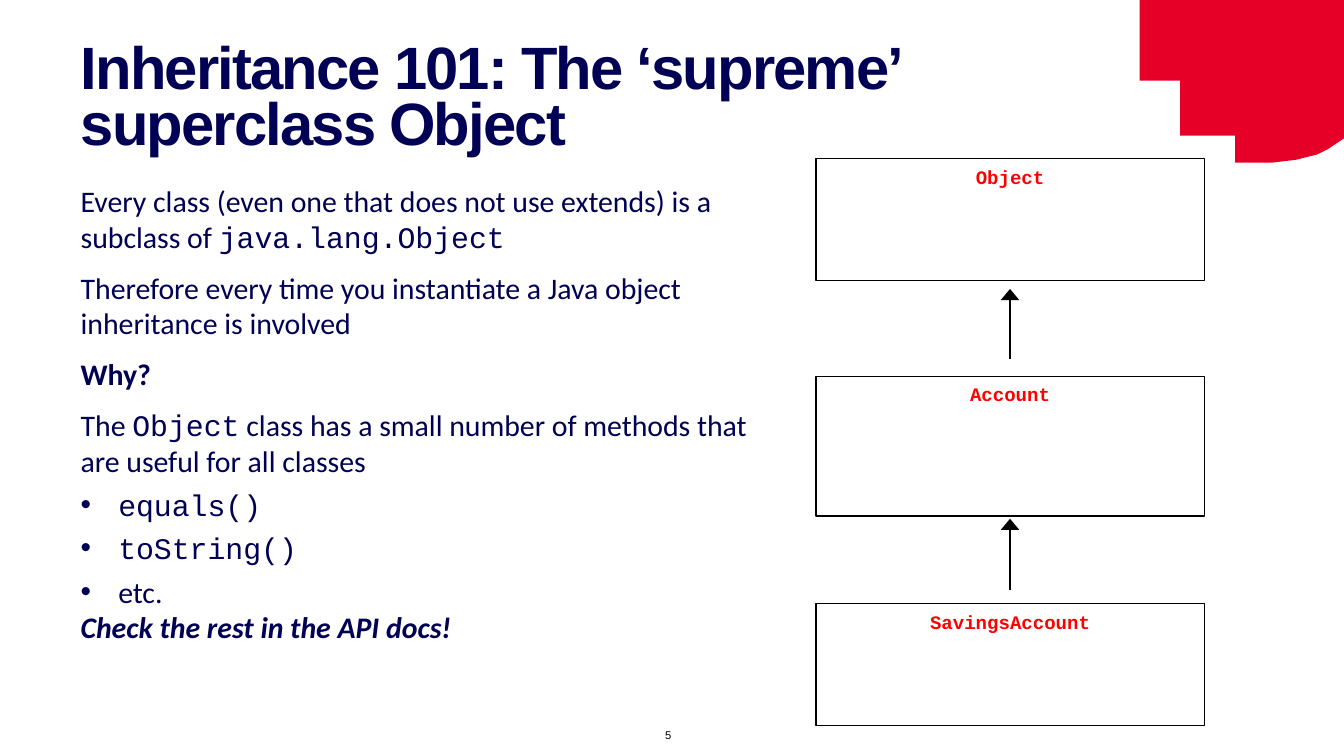
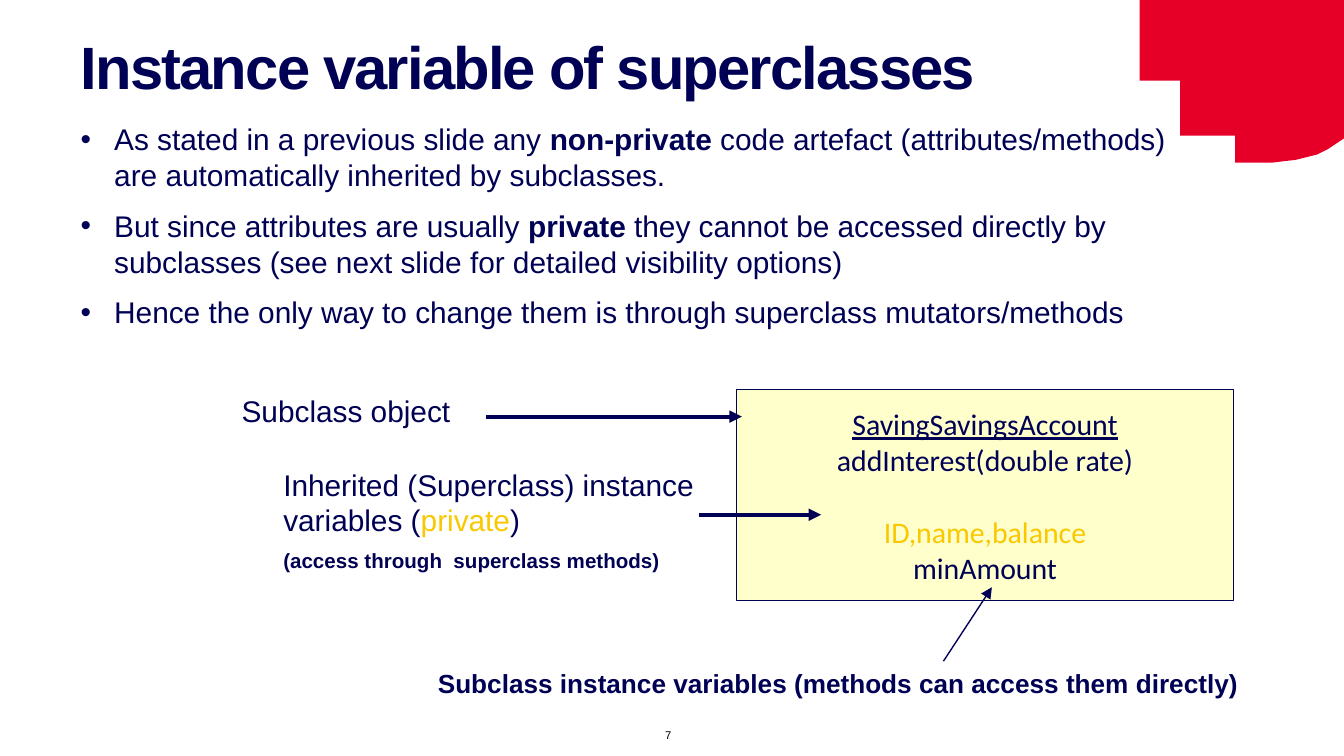
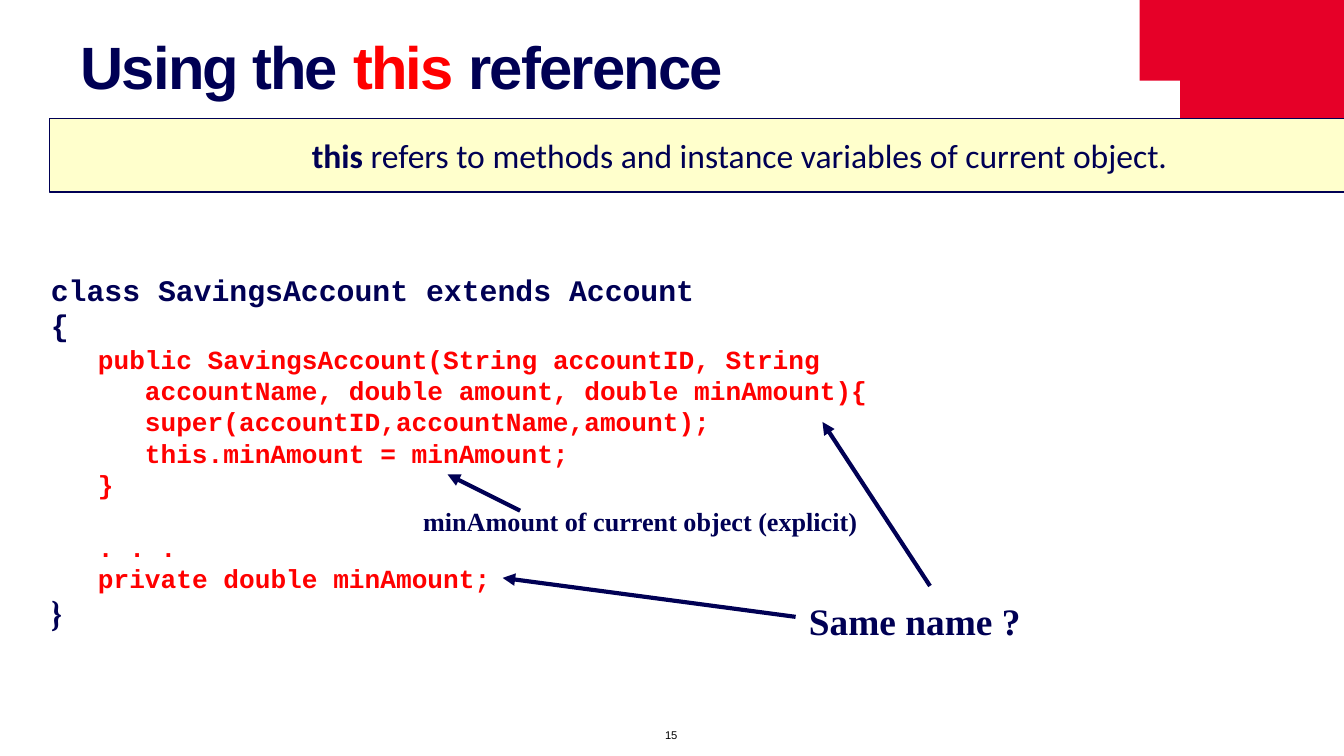
from dataclasses import dataclass

from lxml import etree
from pptx import Presentation
from pptx.dml.color import RGBColor
from pptx.enum.shapes import MSO_CONNECTOR, MSO_SHAPE
from pptx.enum.text import MSO_ANCHOR, MSO_AUTO_SIZE, PP_ALIGN
from pptx.oxml.ns import qn
from pptx.util import Inches, Pt

LEFT, CENTER, JUSTIFY = PP_ALIGN.LEFT, PP_ALIGN.CENTER, PP_ALIGN.JUSTIFY
TOP, MIDDLE = MSO_ANCHOR.TOP, MSO_ANCHOR.MIDDLE

NAVY = RGBColor(0x00, 0x00, 0x54)
CRIMSON = RGBColor(0xE6, 0x00, 0x28)
RED = RGBColor(0xFF, 0x00, 0x00)
GOLD = RGBColor(0xFA, 0xC8, 0x00)
CREAM = RGBColor(0xFF, 0xFF, 0xCC)
BLACK = RGBColor(0x00, 0x00, 0x00)
WHITE = RGBColor(0xFF, 0xFF, 0xFF)

SANS, BODY, MONO, SERIF = "Arial", "Calibri", "Courier New", "Times New Roman"
TITLE_AND_CONTENT, TITLE_ONLY = 1, 5
SLIDE_WIDTH = Inches(10)
SLIDE_HEIGHT = SLIDE_WIDTH * 9 // 16

CORNER_OUTLINE = [
    (8.48, 0), (10, 0), (10, 1.03), (9.88, 1.11), (9.8, 1.15), (9.72, 1.17),
    (9.64, 1.19), (9.55, 1.2), (9.47, 1.21), (9.19, 1.21), (9.19, 1.01),
    (8.78, 1.01), (8.78, 0.6), (8.48, 0.6),
]


@dataclass
class Paragraph:
    """Runs are (text, overrides) pairs; before is in points, margin and hanging in inches."""
    runs: list
    before: float = 0
    spacing: float = None
    align: int = LEFT
    margin: float = 0
    hanging: float = 0


# Slide 1
CODE_FONT = {"font": MONO}
STRONG = {"bold": True}
OBJECT_POINTS = [
    Paragraph([("Every class (even one that does not use extends) is a subclass of ", {}),
               ("java.lang.Object", CODE_FONT)], before=8),
    Paragraph([("Therefore every time you instantiate a Java object inheritance is involved", {})],
              before=8),
    Paragraph([("Why?", STRONG)], before=8),
    Paragraph([("The ", {}), ("Object", CODE_FONT),
               (" class has a small number of methods that are useful for all classes", {})],
              before=8),
    *[Paragraph([(text, style)], before=8, spacing=0.8, hanging=0.28)
      for text, style in [("equals()", CODE_FONT), ("toString()", CODE_FONT), ("etc.", {})]],
    Paragraph([("Check the rest in the API docs!", {"bold": True, "italic": True})]),
]
CLASS_BOXES = [("Object", 1.18, 0.91), ("SavingsAccount", 4.49, 0.91), ("Account", 2.8, 1.04)]
CLASS_LEFT, CLASS_WIDTH = 6.07, 2.89
INHERITANCE_ARROWS = [(4.39, 3.86), (2.67, 2.15)]

# Slide 2
VISIBILITY_POINTS = [
    Paragraph(runs, before=8, hanging=0.25) for runs in [
        [("As stated in a previous slide any ", {}), ("non-private", STRONG),
         (" code artefact (attributes/methods) are automatically inherited by subclasses.", {})],
        [("But since attributes are usually ", {}), ("private", STRONG),
         (" they cannot be accessed directly by subclasses "
          "(see next slide for detailed visibility options)", {})],
        [("Hence the only way to change them is through superclass mutators/methods", {})],
    ]
]
ACCOUNT_MEMBERS = [
    Paragraph([("SavingSavingsAccount", {"underline": True})], align=CENTER),
    Paragraph([("addInterest(double rate)", {})], align=CENTER),
    Paragraph([("ID,name,balance", {"color": GOLD})], before=19.5, align=CENTER),
    Paragraph([("minAmount", {})], align=CENTER),
]
INHERITED_LABEL = [
    Paragraph([("Inherited (Superclass) instance variables (", {}),
               ("private", {"color": GOLD}), (")", {})], before=8),
    Paragraph([("(access through  superclass methods)", {"size": 11, "bold": True})], before=5.5),
]
MEMBER_ARROWS = [  # start, end, width in points
    ((3.62, 3.1), (5.52, 3.1), 2.25),
    ((5.2, 3.83), (6.11, 3.83), 2.25),
    ((7.02, 4.92), (7.38, 4.37), 0.75),
]

# Slide 3
THIS_RULE = [Paragraph([
    ("this", STRONG), (" refers to methods and instance variables of current object.", {}),
], align=CENTER)]
OUTER = {"size": 16, "color": NAVY}
CODE_INDENT = 0.35
CODE_LINES = [  # text, indent level, space before, overrides
    ("class SavingsAccount extends Account", 0, 0, OUTER),
    ("{", 0, 0, OUTER),
    ("public SavingsAccount(String accountID, String", 1, 0, {}),
    ("accountName, double amount, double minAmount){", 2, 0, {}),
    ("super(accountID,accountName,amount);", 2, 0, {}),
    ("this.minAmount = minAmount;", 2, 0, {}),
    ("}", 1, 0, {}),
    (". . .", 1, 16.8, {}),
    ("private double minAmount;", 1, 0, {}),
    ("}", 0, 0, {**OUTER, "font": "Vollkorn"}),
]
NAME_ARROWS = [
    ((5.92, 4.59), (3.74, 4.3)),
    ((6.92, 4.36), (6.12, 3.14)),
    ((3.87, 3.8), (3.33, 3.53)),
]


def place(shape, box):
    shape.left, shape.top, shape.width, shape.height = map(Inches, box)


def set_bullet(paragraph, margin, hanging):
    properties = paragraph._p.get_or_add_pPr()
    properties.set("marL", str(Inches(margin + hanging)))
    properties.set("indent", str(-Inches(hanging)))
    if hanging:
        font = etree.SubElement(properties, qn("a:buFont"))
        font.set("typeface", SANS)
        etree.SubElement(properties, qn("a:buChar")).set("char", "•")
    else:
        etree.SubElement(properties, qn("a:buNone"))


def write(shape, paragraphs, anchor=TOP, **style):
    """Fill a shape with paragraphs; run overrides win over the given style."""
    frame = shape.text_frame
    frame.word_wrap = True
    frame.auto_size = MSO_AUTO_SIZE.NONE
    frame.vertical_anchor = anchor
    frame.margin_left = frame.margin_right = Inches(0.1)
    frame.margin_top = frame.margin_bottom = Inches(0.05)
    for index, content in enumerate(paragraphs):
        paragraph = frame.add_paragraph() if index else frame.paragraphs[0]
        paragraph.alignment = content.align
        paragraph.space_before = Pt(content.before)
        if content.spacing:
            paragraph.line_spacing = content.spacing
        set_bullet(paragraph, content.margin, content.hanging)
        for text, overrides in content.runs:
            look = {"font": SANS, "size": 16, "color": NAVY, **style, **overrides}
            run = paragraph.add_run()
            run.text = text
            run.font.name = look["font"]
            run.font.size = Pt(look["size"])
            run.font.color.rgb = look["color"]
            run.font.bold = look.get("bold", False)
            run.font.italic = look.get("italic", False)
            run.font.underline = look.get("underline", False)


def add_text(slide, box, paragraphs, **style):
    write(slide.shapes.add_textbox(*map(Inches, box)), paragraphs, **style)


def add_label(slide, box, text, **style):
    size = style.get("size", 16)
    add_text(slide, box, [Paragraph([(text, {})], before=size / 2)], **style)


def add_box(slide, box, paragraphs, fill=CREAM, line=NAVY, **style):
    shape = slide.shapes.add_shape(MSO_SHAPE.RECTANGLE, *map(Inches, box))
    shape.shadow.inherit = False
    shape.fill.solid()
    shape.fill.fore_color.rgb = fill
    shape.line.color.rgb = line
    shape.line.width = Pt(0.75)
    write(shape, paragraphs, **style)


def add_arrow(slide, start, end, width=2.25, color=NAVY, head_width="med"):
    connector = slide.shapes.add_connector(
        MSO_CONNECTOR.STRAIGHT, *map(Inches, (*start, *end)))
    connector.line.color.rgb = color
    connector.line.width = Pt(width)
    properties = connector.element.spPr
    head = etree.SubElement(properties.find(qn("a:ln")), qn("a:tailEnd"))
    head.set("type", "triangle")
    head.set("w", head_width)
    etree.SubElement(properties, qn("a:effectLst"))


def add_corner_to_master(presentation, slide):
    """Draw the red corner on a slide, then move it behind everything on the master."""
    points = [(Inches(x), Inches(y)) for x, y in CORNER_OUTLINE]
    builder = slide.shapes.build_freeform(*points[0], scale=1.0)
    builder.add_line_segments(points[1:], close=True)
    corner = builder.convert_to_shape()
    corner.shadow.inherit = False
    corner.fill.solid()
    corner.fill.fore_color.rgb = CRIMSON
    corner.line.fill.background()
    corner.element.nvSpPr.cNvPr.set("id", "100")
    presentation.slide_master.shapes.element.insert(2, corner.element)


def add_slide(presentation, layout, number, title_runs):
    slide = presentation.slides.add_slide(presentation.slide_layouts[layout])
    title = slide.shapes.title
    place(title, (0.5, 0.29, 8.24, 1.43))
    write(title, [Paragraph(title_runs, spacing=Pt(30))], size=32, bold=True)
    for run in title.text_frame.paragraphs[0].runs:
        run.font._element.set("spc", "-100")
    add_text(slide, (4.85, 5.37, 0.3, 0.2), [Paragraph([(str(number), {})])],
             size=6, color=BLACK)
    return slide


def fill_body(slide, box, paragraphs, **style):
    body = slide.placeholders[1]
    place(body, box)
    write(body, paragraphs, **style)


def build_object_slide(presentation):
    slide = add_slide(presentation, TITLE_AND_CONTENT, 5,
                      [("Inheritance 101: The ‘supreme’ superclass Object", {})])
    add_corner_to_master(presentation, slide)
    fill_body(slide, (0.5, 1.31, 5.42, 3.79), OBJECT_POINTS, font=BODY)
    for name, top, height in CLASS_BOXES:
        add_box(slide, (CLASS_LEFT, top, CLASS_WIDTH, height),
                [Paragraph([(name, {})], align=CENTER)], fill=WHITE, line=BLACK,
                font=MONO, size=10.2, color=RED, bold=True)
    middle = CLASS_LEFT + CLASS_WIDTH / 2
    for start, end in INHERITANCE_ARROWS:
        add_arrow(slide, (middle, start), (middle, end), 0.75, BLACK, head_width="lg")


def build_variables_slide(presentation):
    slide = add_slide(presentation, TITLE_AND_CONTENT, 7,
                      [("Instance variable of superclasses", {})])
    fill_body(slide, (0.5, 0.85, 8.34, 1.72), VISIBILITY_POINTS)
    add_box(slide, (5.48, 2.9, 3.7, 1.57), ACCOUNT_MEMBERS, anchor=MIDDLE, font=BODY)
    add_label(slide, (1.7, 2.87, 3.63, 0.37), "Subclass object")
    add_text(slide, (2.01, 3.42, 4.1, 0.92), INHERITED_LABEL)
    add_label(slide, (3.16, 4.92, 10, 0.34),
              "Subclass instance variables (methods can access them directly)",
              size=14, bold=True)
    for start, end, width in MEMBER_ARROWS:
        add_arrow(slide, start, end, width)


def build_this_slide(presentation):
    slide = add_slide(presentation, TITLE_ONLY, 15,
                      [("Using the ", {}), ("this", {"color": RED}), (" reference", {})])
    add_box(slide, (0.37, 0.88, 10.27, 0.55), THIS_RULE, anchor=MIDDLE, font=BODY, size=18)
    code = [Paragraph([(text, overrides)], before, align=JUSTIFY, margin=level * CODE_INDENT)
            for text, level, before, overrides in CODE_LINES]
    add_text(slide, (0.28, 1.97, 10.18, 2.83), code,
             font=MONO, size=14, color=RED, bold=True)
    for start, end in NAME_ARROWS:
        add_arrow(slide, start, end)
    add_label(slide, (5.92, 4.4, 2.36, 0.44), "Same name ?", font=SERIF, size=20, bold=True)
    add_label(slide, (3.05, 3.71, 5.72, 0.34), "minAmount of current object (explicit)",
              font=SERIF, size=14, bold=True)


def main():
    presentation = Presentation()
    presentation.slide_width, presentation.slide_height = SLIDE_WIDTH, SLIDE_HEIGHT
    build_object_slide(presentation)
    build_variables_slide(presentation)
    build_this_slide(presentation)
    presentation.save("out.pptx")


if __name__ == "__main__":
    main()
